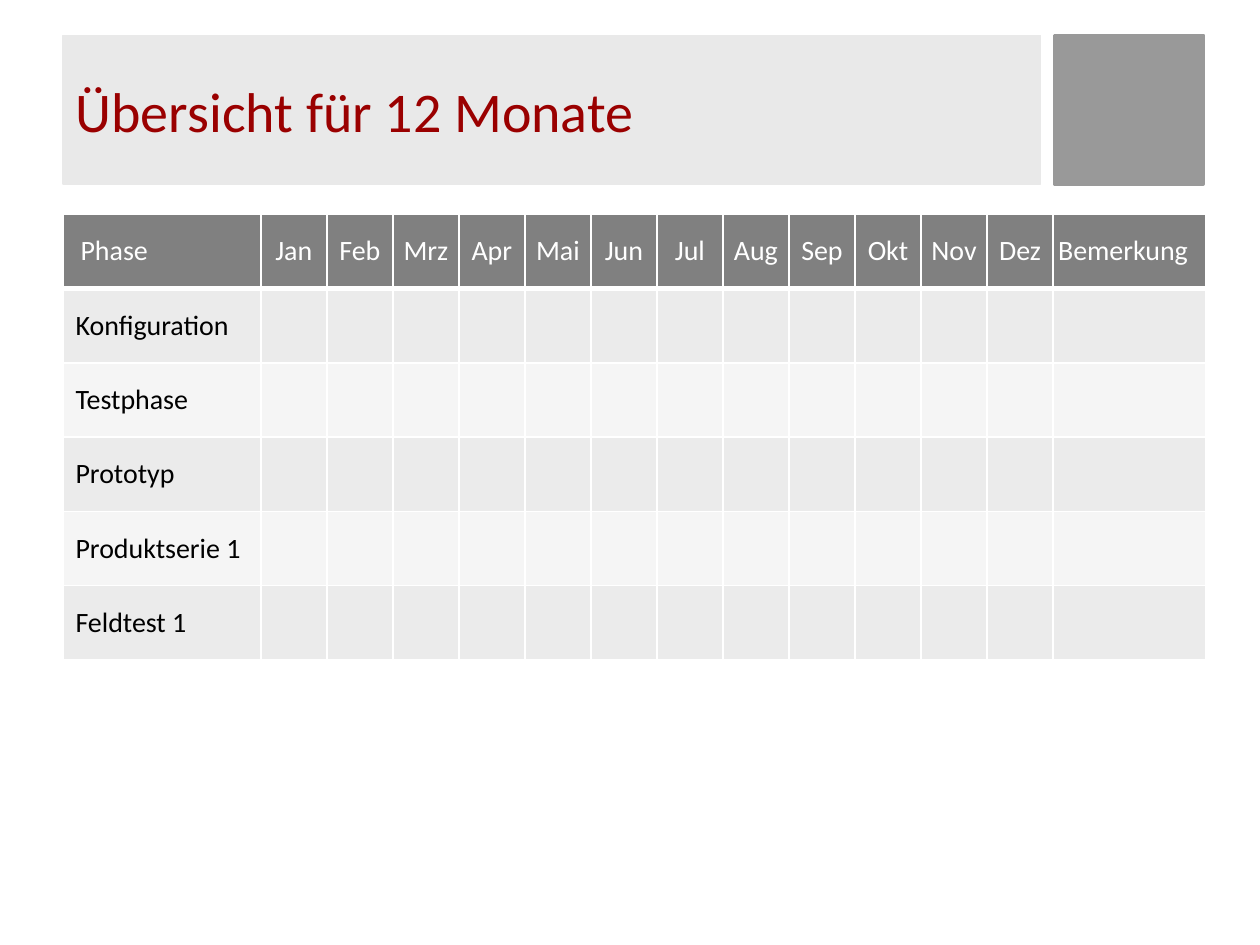
import pptx
import pptx.dml.color
import pptx.enum.shapes
import pptx.enum.text
import pptx.oxml.ns
import pptx.util
import lxml.etree

COLORS = {
    "accent": "999999",
    "title_fill": "E9E9E9",
    "title_text": "9A0000",
    "header": "808080",
    "odd_row": "EBEBEB",
    "even_row": "F5F5F5",
    "white": "FFFFFF",
    "black": "000000",
}
FONT = "Calibri"
SLIDE_WIDTH, SLIDE_HEIGHT = 10, 7.5
LEFT, BANNER_TOP, BANNER_HEIGHT = 0.5, 0.28, 1.18
TABLE_TOP, TABLE_WIDTH, ROW_HEIGHT = 1.7, 9.07, 0.59
PHASE_WIDTH, REMARK_WIDTH = 1.57, 1.21
MONTHS = ["Jan", "Feb", "Mrz", "Apr", "Mai", "Jun",
          "Jul", "Aug", "Sep", "Okt", "Nov", "Dez"]
PHASES = ["Konfiguration", "Testphase", "Prototyp", "Produktserie 1", "Feldtest 1"]
ALIGN = pptx.enum.text.PP_ALIGN
MIDDLE = pptx.enum.text.MSO_ANCHOR.MIDDLE


def color(name):
    return pptx.dml.color.RGBColor.from_string(COLORS[name])


def inches(*lengths):
    return [pptx.util.Inches(length) for length in lengths]


def style_box(shape, fill, line_width):
    shape.shadow.inherit = False
    shape.fill.solid()
    shape.fill.fore_color.rgb = color(fill)
    shape.line.color.rgb = color(fill)
    shape.line.width = pptx.util.Pt(line_width)


def style_paragraph(paragraph, size, font_color, alignment=ALIGN.LEFT):
    paragraph.alignment = alignment
    paragraph.font.name = FONT
    paragraph.font.size = pptx.util.Pt(size)
    paragraph.font.color.rgb = color(font_color)


def add_accent_square(slide):
    square = slide.shapes.add_shape(
        pptx.enum.shapes.MSO_SHAPE.RECTANGLE,
        *inches(8.37, BANNER_TOP, BANNER_HEIGHT, BANNER_HEIGHT))
    style_box(square, "accent", 2)


def fill_title(slide, text):
    title = slide.shapes.title
    title.left, title.top, title.width, title.height = inches(
        LEFT, BANNER_TOP, 7.76, BANNER_HEIGHT)
    style_box(title, "title_fill", 0.75)
    frame = title.text_frame
    frame.text = text
    frame.auto_size = pptx.enum.text.MSO_AUTO_SIZE.NONE
    frame.vertical_anchor = MIDDLE
    style_paragraph(frame.paragraphs[0], 32, "title_text")


def set_borders(cell, bottom_width=1, top_width=1):
    properties = cell._tc.get_or_add_tcPr()
    widths = {"a:lnL": 1, "a:lnR": 1, "a:lnT": top_width, "a:lnB": bottom_width}
    for tag, width in widths.items():
        line = lxml.etree.SubElement(
            properties, pptx.oxml.ns.qn(tag), w=str(pptx.util.Pt(width)))
        fill = lxml.etree.SubElement(line, pptx.oxml.ns.qn("a:solidFill"))
        lxml.etree.SubElement(fill, pptx.oxml.ns.qn("a:srgbClr"), val=COLORS["white"])


def fill_cell(cell, text, fill, font_color, alignment=ALIGN.LEFT):
    cell.fill.solid()
    cell.fill.fore_color.rgb = color(fill)
    cell.vertical_anchor = MIDDLE
    cell.text = text
    style_paragraph(cell.text_frame.paragraphs[0], 16, font_color, alignment)


def fill_header(table):
    for cell, text in zip(table.rows[0].cells, ["Phase", *MONTHS, "Bemerkung"]):
        set_borders(cell, bottom_width=3)
        cell.margin_left = cell.margin_right = pptx.util.Inches(0.04)
        alignment = ALIGN.CENTER if text in MONTHS else ALIGN.LEFT
        fill_cell(cell, text, "header", "white", alignment)
    phase = table.cell(0, 0).text_frame.paragraphs[0]
    indent = phase._p.get_or_add_pPr()
    indent.set("marL", str(pptx.util.Inches(0.1)))
    indent.set("indent", "0")


def fill_phase_rows(table):
    for row in range(1, len(PHASES) + 1):
        fill = "odd_row" if row % 2 else "even_row"
        for column, cell in enumerate(table.rows[row].cells):
            set_borders(cell, top_width=3 if row == 1 else 1)
            fill_cell(cell, "" if column else PHASES[row - 1], fill, "black")


def add_schedule(slide):
    rows = len(PHASES) + 1
    table = slide.shapes.add_table(
        rows, len(MONTHS) + 2,
        *inches(LEFT, TABLE_TOP, TABLE_WIDTH, rows * ROW_HEIGHT)).table
    month_width = (TABLE_WIDTH - PHASE_WIDTH - REMARK_WIDTH) / len(MONTHS)
    widths = [PHASE_WIDTH, *[month_width] * len(MONTHS), REMARK_WIDTH]
    for column, width in zip(table.columns, inches(*widths)):
        column.width = width
    fill_header(table)
    fill_phase_rows(table)


def main():
    presentation = pptx.Presentation()
    presentation.slide_width, presentation.slide_height = inches(SLIDE_WIDTH, SLIDE_HEIGHT)
    slide = presentation.slides.add_slide(presentation.slide_layouts[5])
    add_accent_square(slide)
    fill_title(slide, "Übersicht für 12 Monate")
    add_schedule(slide)
    presentation.save("out.pptx")


if __name__ == "__main__":
    main()
